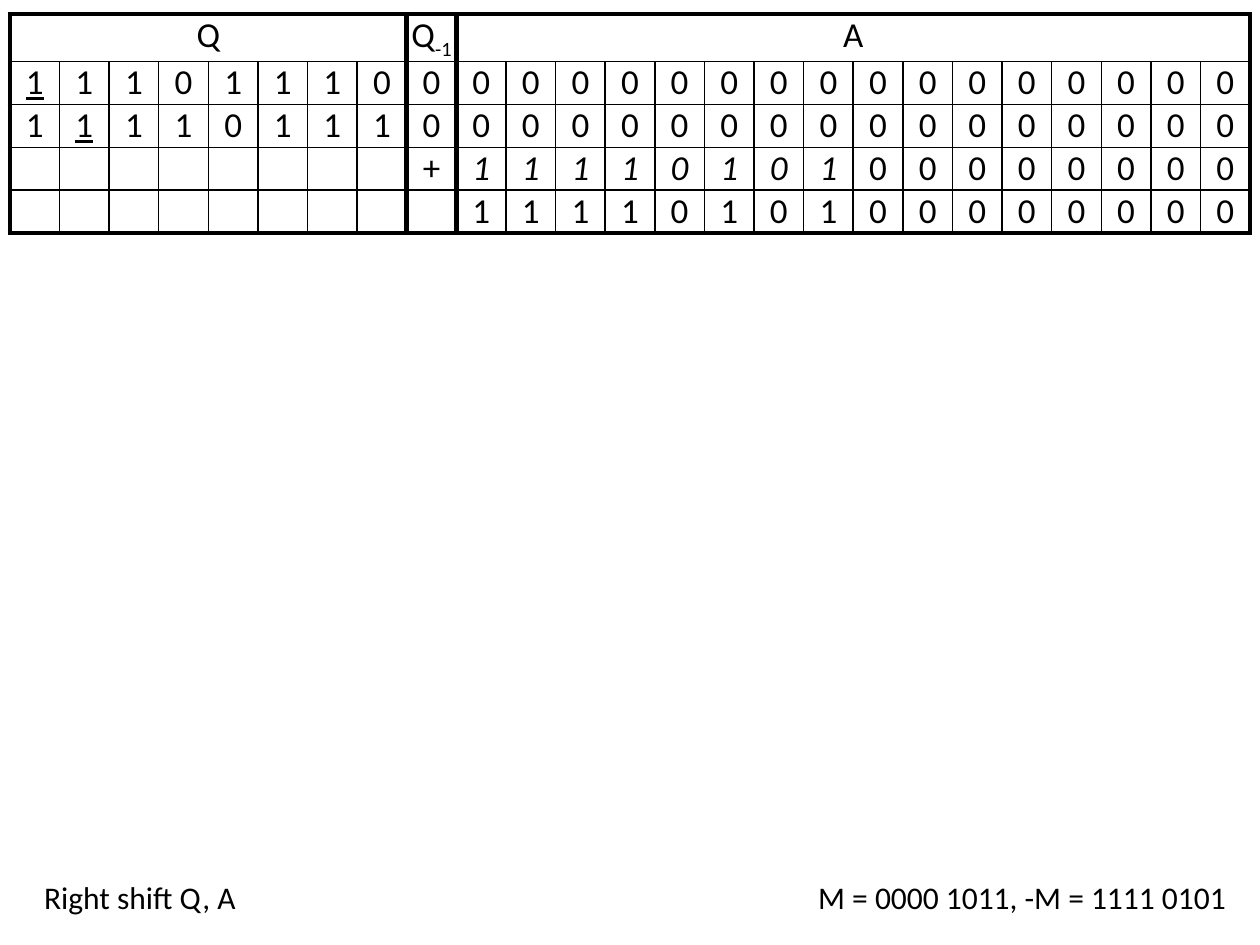
"""Build the slide of a Booth multiplication register trace."""
from dataclasses import dataclass
from typing import Optional

from lxml.etree import SubElement
from pptx import Presentation
from pptx.dml.color import RGBColor
from pptx.enum.text import MSO_AUTO_SIZE, PP_ALIGN
from pptx.oxml.ns import qn
from pptx.util import Cm, Pt

BLACK = RGBColor(0, 0, 0)
FONT = "Calibri"
Q_BITS, A_BITS = 8, 16
CARRY = Q_BITS
A_START = CARRY + 1
COLUMNS = A_START + A_BITS
THIN, THICK = Pt(1), Pt(3)


@dataclass
class RegisterRow:
    q: str
    carry: str
    a: str
    underlined: Optional[int] = None
    italic_bits: int = 0


@dataclass
class Note:
    text: str
    left: Cm
    align: PP_ALIGN


STEPS = [
    RegisterRow("11101110", "0", "0" * A_BITS, underlined=0),
    RegisterRow("11110111", "0", "0" * A_BITS, underlined=1),
    RegisterRow(" " * Q_BITS, "+", "1111010100000000", italic_bits=8),
    RegisterRow(" " * Q_BITS, " ", "1111010100000000"),
]
NOTES = [
    Note("M = 0000 1011, -M = 1111 0101", Cm(15.24), PP_ALIGN.RIGHT),
    Note("Right shift Q, A", Cm(0.64), PP_ALIGN.LEFT),
]


def add_run(paragraph, text: str, size: int):
    run = paragraph.add_run()
    run.text = text
    run.font.size = Pt(size)
    run.font.name = FONT
    run.font.color.rgb = BLACK
    return run


def add_cell_text(cell, text: str):
    paragraph = cell.text_frame.paragraphs[0]
    paragraph.alignment = PP_ALIGN.CENTER
    return add_run(paragraph, text, 20)


def format_cell(cell, row: int, column: int) -> None:
    cell.margin_left = cell.margin_right = cell.margin_top = cell.margin_bottom = 0
    thick_edges = {
        "L": row == 0 or column in (0, CARRY, A_START),
        "R": row == 0 or column in (CARRY - 1, CARRY, COLUMNS - 1),
        "T": row == 0,
        "B": row == len(STEPS),
    }
    properties = cell._tc.get_or_add_tcPr()
    for edge, thick in thick_edges.items():
        border = SubElement(properties, qn(f"a:ln{edge}"), w=str(THICK if thick else THIN))
        fill = SubElement(border, qn("a:solidFill"))
        SubElement(fill, qn("a:srgbClr"), val=str(BLACK))
    cell.fill.background()


def add_registers(slide) -> None:
    rows = len(STEPS) + 1
    frame = slide.shapes.add_table(
        rows, COLUMNS, Cm(0.2), Cm(0.28), Cm(COLUMNS), Cm(0.81 * rows))
    table = frame.table
    table.first_row = table.horz_banding = False
    for column in table.columns:
        column.width = Cm(1)
    for row in range(rows):
        table.rows[row].height = Cm(0.81)
        for column in range(COLUMNS):
            format_cell(table.cell(row, column), row, column)

    table.cell(0, 0).merge(table.cell(0, CARRY - 1))
    table.cell(0, A_START).merge(table.cell(0, COLUMNS - 1))
    for column, heading in ((0, "Q"), (CARRY, "Q"), (A_START, "A")):
        add_cell_text(table.cell(0, column), heading)
    subscript = add_cell_text(table.cell(0, CARRY), "-1")
    subscript._r.get_or_add_rPr().set("baseline", "-25000")

    for row, step in enumerate(STEPS, start=1):
        for column, bit in enumerate(step.q + step.carry + step.a):
            if bit == " ":
                continue
            run = add_cell_text(table.cell(row, column), bit)
            if column == step.underlined:
                run.font.underline = True
            if A_START <= column < A_START + step.italic_bits:
                run.font.italic = True


def add_note(slide, note: Note) -> None:
    box = slide.shapes.add_textbox(note.left, Cm(17.58), Cm(9.73), Cm(1.03))
    box.text_frame.word_wrap = True
    box.text_frame.auto_size = MSO_AUTO_SIZE.SHAPE_TO_FIT_TEXT
    paragraph = box.text_frame.paragraphs[0]
    paragraph.alignment = note.align
    add_run(paragraph, note.text, 18)


def main() -> None:
    presentation = Presentation()
    presentation.slide_width = Cm(25.4)
    presentation.slide_height = Cm(19.05)
    slide = presentation.slides.add_slide(presentation.slide_layouts[6])
    add_registers(slide)
    for note in NOTES:
        add_note(slide, note)
    presentation.save("out.pptx")


if __name__ == "__main__":
    main()
